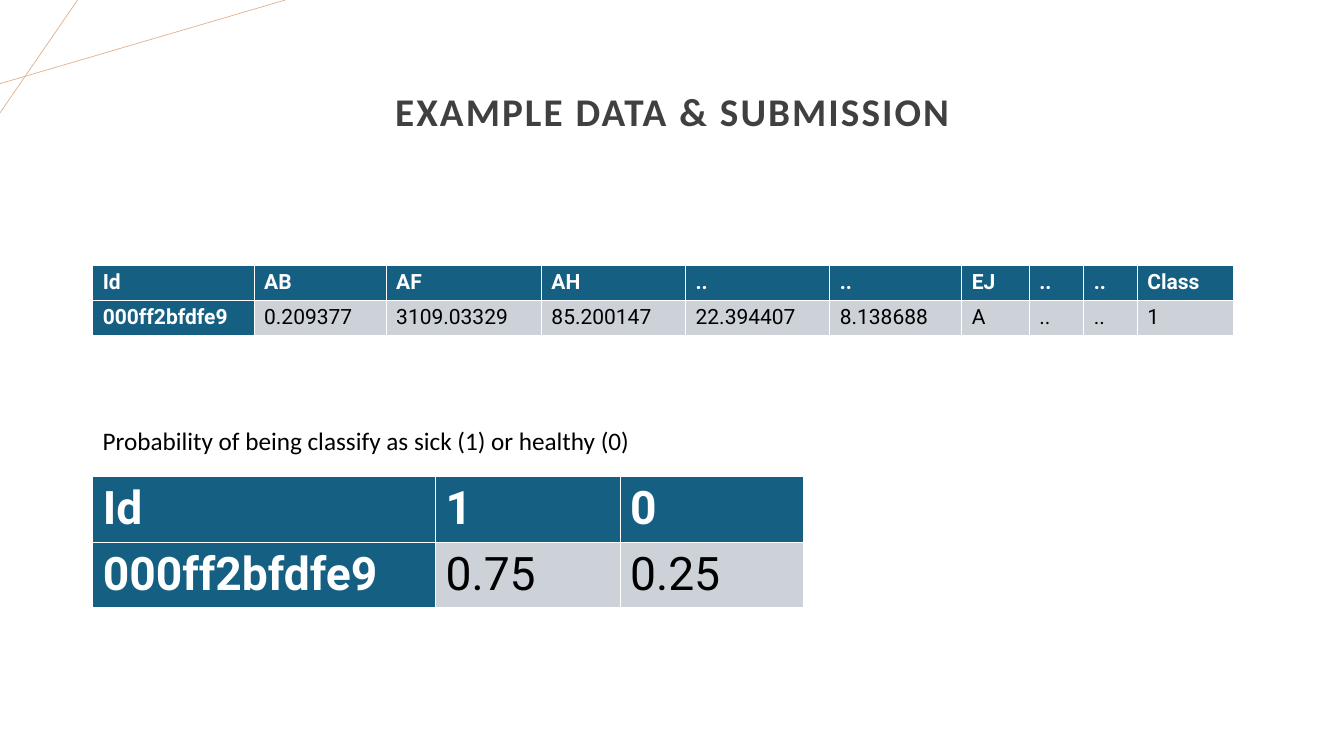
from lxml.etree import SubElement
from pptx import Presentation
from pptx.dml.color import RGBColor
from pptx.enum.shapes import MSO_CONNECTOR
from pptx.enum.text import MSO_ANCHOR, MSO_AUTO_SIZE, PP_ALIGN
from pptx.oxml.ns import qn
from pptx.util import Emu, Pt

PX = 9144  # 100 px to the inch
LEFT = 92
WHITE, BLACK, GREY, TAN = "FFFFFF", "000000", "404040", "E2B18D"
TEAL, SILVER = "156082", "CCD2D8"

SAMPLE_WIDTHS = [160, 131, 154, 143, 143, 131, 67, 54, 53, 95]
SAMPLE_ROWS = [
    ["Id", "AB", "AF", "AH", "..", "..", "EJ", "..", "..", "Class"],
    ["000ff2bfdfe9", "0.209377", "3109.03329", "85.200147", "22.394407",
     "8.138688", "A", "..", "..", "1"],
]
SUBMISSION_WIDTHS = [340, 183, 182]
SUBMISSION_ROWS = [["Id", "1", "0"], ["000ff2bfdfe9", "0.75", "0.25"]]


def px(*lengths):
    return [Emu(length * PX) for length in lengths]


def color(value):
    return RGBColor.from_string(value)


def set_font(para, name, size, value, bold=False):
    font = para.font
    font.name, font.size, font.bold = name, Pt(size), bold
    font.color.rgb = color(value)


def add_accent_line(page, start, end):
    line = page.shapes.add_connector(MSO_CONNECTOR.STRAIGHT, *px(*start, *end))
    line.line.color.rgb = color(TAN)
    line.line.width = Pt(0.5)
    SubElement(line._element.spPr, qn("a:effectLst"))


def set_title(page, text):
    title = page.shapes.title
    title.left, title.top, title.width, title.height = px(LEFT, 40, 1150, 145)
    title.text_frame.vertical_anchor = MSO_ANCHOR.MIDDLE
    para = title.text_frame.paragraphs[0]
    para.alignment = PP_ALIGN.CENTER
    para.line_spacing = 0.9
    span = para.add_run()
    span.text = text
    set_font(para, "Calibri", 28, GREY, bold=True)
    span._r.get_or_add_rPr().set("spc", "150")


def add_caption(page, text, left, top, width, height):
    box = page.shapes.add_textbox(*px(left, top, width, height))
    box.text_frame.word_wrap = True
    box.text_frame.auto_size = MSO_AUTO_SIZE.SHAPE_TO_FIT_TEXT
    para = box.text_frame.paragraphs[0]
    para.text = text
    set_font(para, "Calibri", 18, BLACK)


def set_borders(cell, widths):
    """Draw white borders; widths maps an edge letter (L, R, T, B) to points."""
    properties = cell._tc.get_or_add_tcPr()
    for edge, width in widths.items():
        border = SubElement(properties, qn(f"a:ln{edge}"), w=str(Pt(width)))
        fill = SubElement(border, qn("a:solidFill"))
        SubElement(fill, qn("a:srgbClr"), val=WHITE)


def add_data_table(page, rows, widths, top, row_height, size):
    """Add a table whose first row and first column are headings."""
    frame = page.shapes.add_table(
        len(rows), len(widths),
        *px(LEFT, top, sum(widths), row_height * len(rows)))
    table = frame.table
    table.horz_banding = False
    table.first_col = True
    for column, width in zip(table.columns, px(*widths)):
        column.width = width
    for r, texts in enumerate(rows):
        table.rows[r].height = px(row_height)[0]
        for c, text in enumerate(texts):
            cell = table.cell(r, c)
            heading = r == 0 or c == 0
            thick_edge = "B" if r == 0 else "T"
            set_borders(cell, {edge: 1.31 if edge == thick_edge else 0.75
                               for edge in "LRTB"})
            cell.fill.solid()
            cell.fill.fore_color.rgb = color(TEAL if heading else SILVER)
            para = cell.text_frame.paragraphs[0]
            para.text = text
            set_font(para, "Roboto", size, WHITE if heading else BLACK, heading)


def main():
    deck = Presentation()
    deck.slide_width, deck.slide_height = px(1333, 750)
    page = deck.slides.add_slide(deck.slide_layouts.get_by_name("Title Only"))
    add_accent_line(page, (0, 83), (283, 0))
    add_accent_line(page, (77, 0), (0, 112))
    set_title(page, "EXAMPLE DATA & SUBMISSION")
    add_data_table(page, SAMPLE_ROWS, SAMPLE_WIDTHS, 263, 35, 15)
    add_caption(page, "Probability of being classify as sick (1) or healthy (0)",
                LEFT, 417, 642, 40)
    add_data_table(page, SUBMISSION_ROWS, SUBMISSION_WIDTHS, 473, 65, 33)
    deck.save("out.pptx")


if __name__ == "__main__":
    main()
